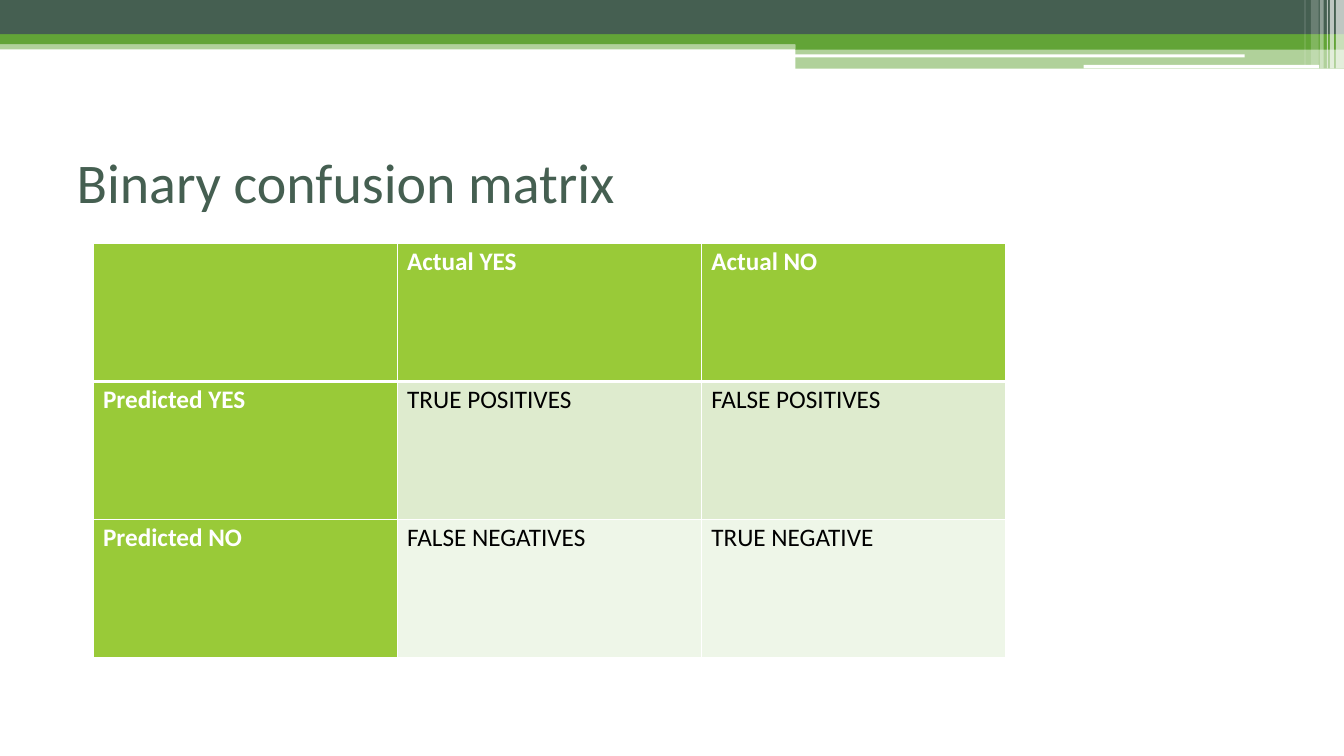
"""Build a slide showing a binary confusion matrix under a green banded header."""
from dataclasses import dataclass

import pptx
import pptx.dml.color
import pptx.enum.shapes
import pptx.enum.text
import pptx.oxml
import pptx.oxml.ns
import pptx.util

WIDTH = pptx.util.Inches(13.33)
HEIGHT = pptx.util.Inches(7.5)
FONT = "Calibri"
DARK, GREEN, LIME, WHITE, BLACK = "455F51", "62A437", "99CA38", "FFFFFF", "000000"
ROW_TINTS = (LIME, "DEEBCE", "EEF6E8")
MATRIX = (
    ("", "Actual YES", "Actual NO"),
    ("Predicted YES", "TRUE POSITIVES", "FALSE POSITIVES"),
    ("Predicted NO", "FALSE NEGATIVES", "TRUE NEGATIVE"),
)


@dataclass(frozen=True)
class Band:
    left: float
    top: float
    right: float
    bottom: float
    fill: str
    opacity: int = 100


BANDS = (
    Band(0, 5.87, 59.18, 6.55, GREEN, 50),
    Band(0, 0, 100, 4.53, DARK),
    Band(59.18, 6.45, 100, 9.07, GREEN, 50),
    Band(59.12, 7.2, 92.62, 7.6, WHITE),
    Band(80.62, 8.6, 98.15, 9.07, WHITE),
    Band(98.95, 0, 99.25, 9.07, WHITE, 65),
    Band(99.4, 0, 100, 9.07, WHITE, 65),
    Band(98.72, 0, 98.8, 9.07, WHITE, 60),
    Band(98.2, 0, 98.48, 9.07, WHITE, 40),
    Band(97.53, 0, 98.12, 8.6, WHITE, 20),
    Band(97.08, 0, 97.14, 8.6, WHITE, 30),
)
STEP = ((0, 4.53), (100, 4.53), (100, 6.55), (59.18, 6.55), (59.18, 5.87), (0, 5.87))


def across(percent: float) -> int:
    return round(WIDTH * percent / 100)


def down(percent: float) -> int:
    return round(HEIGHT * percent / 100)


def colour(code: str) -> pptx.dml.color.RGBColor:
    return pptx.dml.color.RGBColor.from_string(code)


def paint(shape, code: str, opacity: int = 100) -> None:
    shape.shadow.inherit = False
    shape.line.fill.background()
    shape.fill.solid()
    shape.fill.fore_color.rgb = colour(code)
    if opacity < 100:
        tone = shape.fill._xPr.find(".//" + pptx.oxml.ns.qn("a:srgbClr"))
        alpha = pptx.oxml.parse_xml(
            f'<a:alpha {pptx.oxml.ns.nsdecls("a")} val="{opacity * 1000}"/>')
        tone.append(alpha)


def draw_band(page, band: Band) -> None:
    shape = page.shapes.add_shape(
        pptx.enum.shapes.MSO_SHAPE.RECTANGLE, across(band.left), down(band.top),
        across(band.right - band.left), down(band.bottom - band.top))
    paint(shape, band.fill, band.opacity)


def draw_step(page) -> None:
    start, *others = [(across(x), down(y)) for x, y in STEP]
    outline = page.shapes.build_freeform(*start)
    outline.add_line_segments(others, close=True)
    paint(outline.convert_to_shape(), GREEN)


def format_text(frame, size: int, code: str, bold: bool = False) -> None:
    for para in frame.paragraphs:
        for span in para.runs:
            span.font.name = FONT
            span.font.size = pptx.util.Pt(size)
            span.font.bold = bold
            span.font.color.rgb = colour(code)


def draw_title(page) -> None:
    box = page.shapes.add_textbox(across(5.7), down(19.4), across(60), down(9.2))
    frame = box.text_frame
    frame.word_wrap = True
    frame.vertical_anchor = pptx.enum.text.MSO_ANCHOR.TOP
    frame.margin_left = frame.margin_right = frame.margin_bottom = 0
    frame.margin_top = down(0.13)
    frame.text = "Binary confusion matrix"
    format_text(frame, 40, DARK)


def draw_borders(cell, row: int) -> None:
    points = {"L": 1, "R": 1, "T": 3 if row == 1 else 1, "B": 3 if row == 0 else 1}
    properties = cell._tc.get_or_add_tcPr()
    for side, width in points.items():
        properties.append(pptx.oxml.parse_xml(
            f'<a:ln{side} {pptx.oxml.ns.nsdecls("a")} w="{pptx.util.Pt(width)}">'
            f'<a:solidFill><a:srgbClr val="{WHITE}"/></a:solidFill></a:ln{side}>'))


def draw_matrix(page) -> None:
    count = len(MATRIX)
    column_width, row_height = across(22.63), down(18.23)
    table = page.shapes.add_table(
        count, count, across(6.92), down(32.25),
        column_width * count, row_height * count).table
    table.horz_banding = False
    for column in table.columns:
        column.width = column_width
    for row in table.rows:
        row.height = row_height
    for row, labels in enumerate(MATRIX):
        for column, label in enumerate(labels):
            cell = table.cell(row, column)
            heading = row == 0 or column == 0
            draw_borders(cell, row)
            cell.fill.solid()
            cell.fill.fore_color.rgb = colour(LIME if heading else ROW_TINTS[row])
            cell.margin_left = across(0.75)
            cell.margin_top = down(0.4)
            cell.margin_right = cell.margin_bottom = 0
            cell.text_frame.text = label
            format_text(cell.text_frame, 18, WHITE if heading else BLACK, heading)


def main() -> None:
    deck = pptx.Presentation()
    deck.slide_width, deck.slide_height = WIDTH, HEIGHT
    page = deck.slides.add_slide(deck.slide_layouts[6])
    draw_step(page)
    for band in BANDS:
        draw_band(page, band)
    draw_title(page)
    draw_matrix(page)
    deck.save("out.pptx")


if __name__ == "__main__":
    main()
